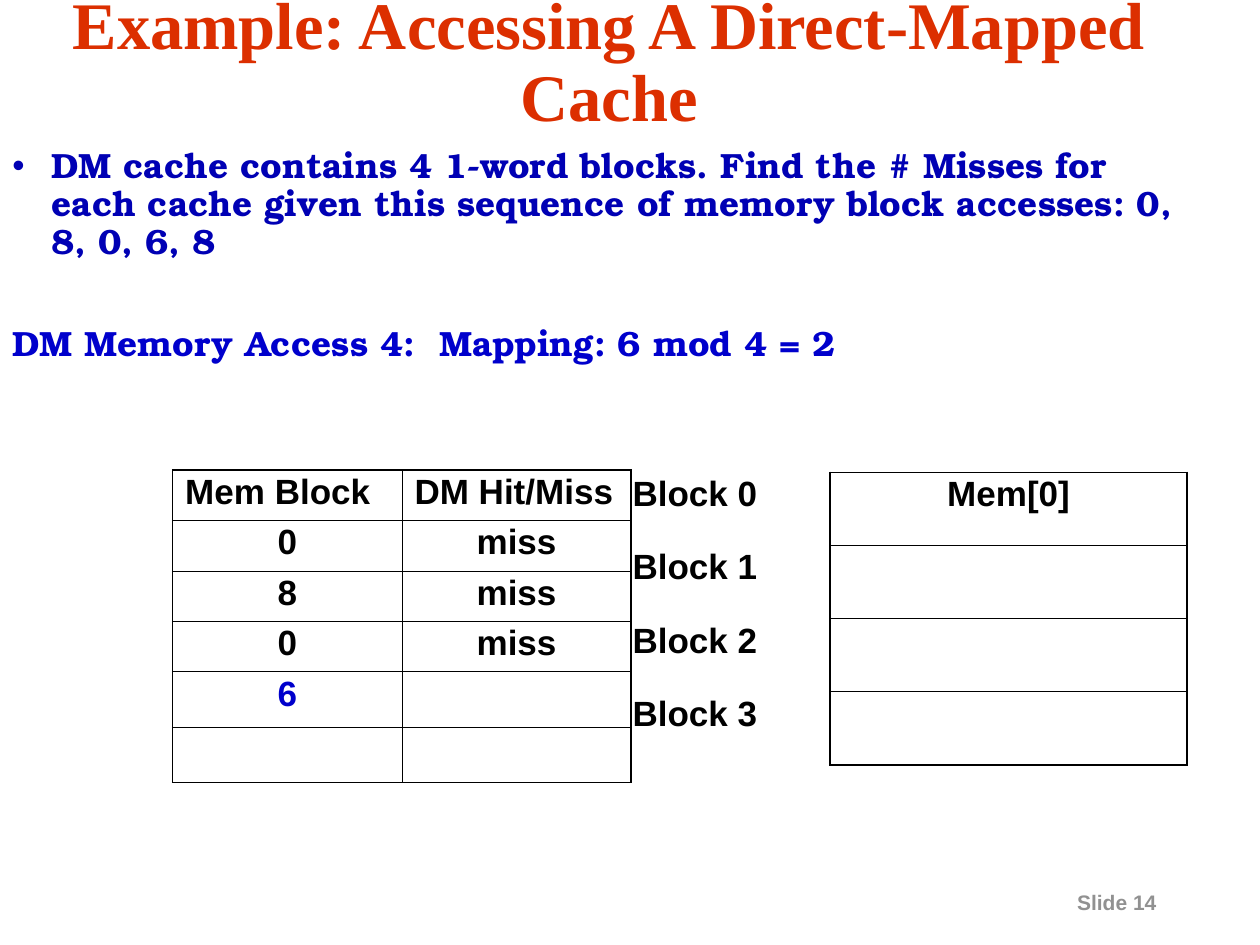
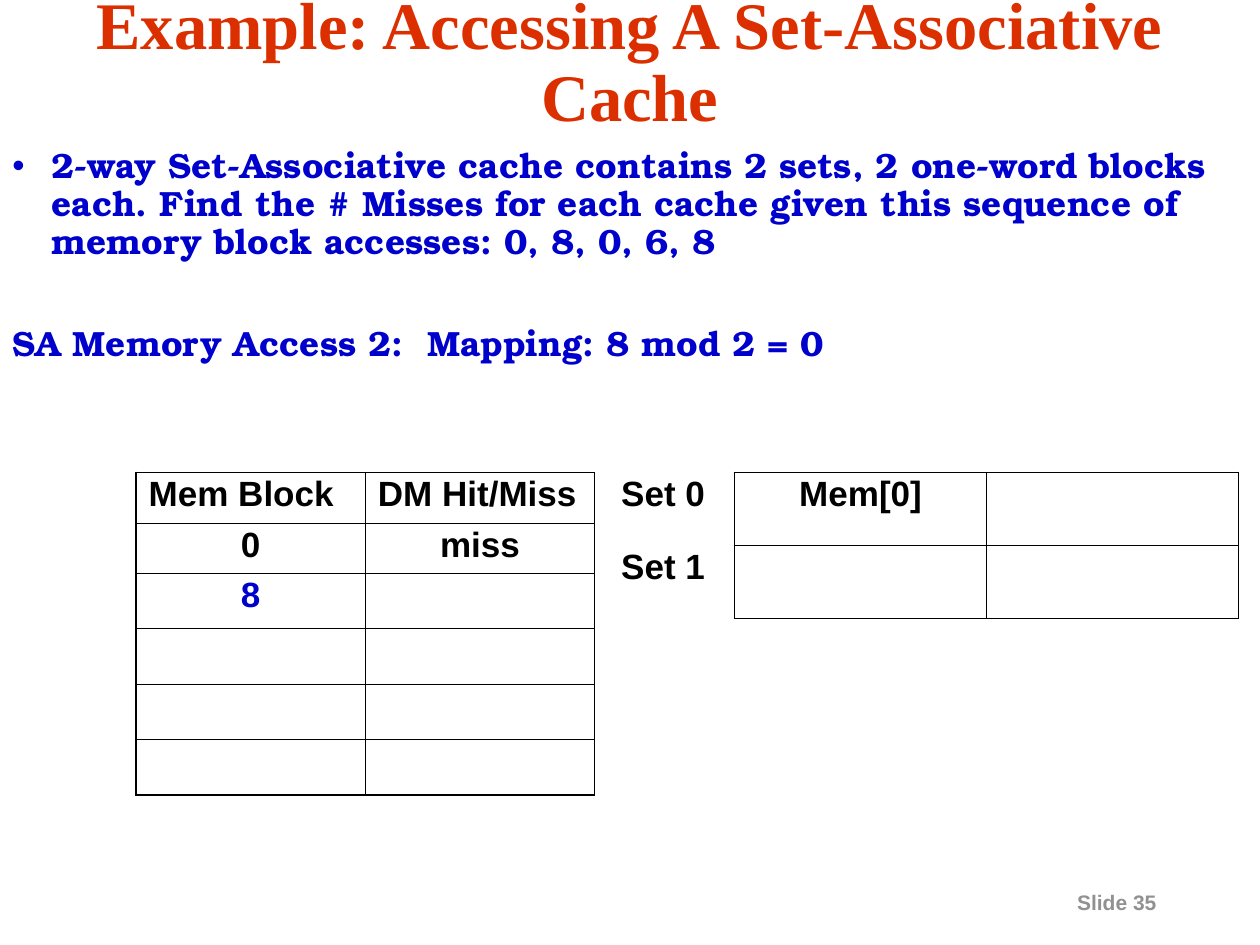
from lxml import etree
from pptx import Presentation
from pptx.dml.color import RGBColor
from pptx.enum.text import MSO_ANCHOR, PP_ALIGN
from pptx.oxml.ns import qn
from pptx.util import Inches, Pt

CENTER = PP_ALIGN.CENTER
LEFT = PP_ALIGN.LEFT
MIDDLE = MSO_ANCHOR.MIDDLE
TOP = MSO_ANCHOR.TOP

TITLE_RED = "DC2F00"
DARK_BLUE = "0000B4"
BLUE = "0000CC"
BLACK = "000000"
GRAY = "919191"

TITLE_FONT = "Times New Roman"
BODY_FONT = "TeX Gyre Bonum"
TABLE_FONT = "Arial"

THICK = 1.08
THIN = 0.45
LINE_SPACING = 0.9
CACHE_ROW_HEIGHT = 0.58
ACCESS_COLUMNS = [1.82, 1.82]
ACCESS_HEADER = ("Mem Block", "DM Hit/Miss")


def rgb(value):
    return RGBColor.from_string(value)


def style_paragraph(paragraph, font_name, size, color, alignment=LEFT, spacing=LINE_SPACING):
    paragraph.alignment = alignment
    paragraph.line_spacing = spacing
    font = paragraph.font
    font.name = font_name
    font.size = Pt(size)
    font.bold = True
    font.color.rgb = rgb(color)


def add_text_frame(slide, left, top, width, height, anchor=TOP):
    box = slide.shapes.add_textbox(Inches(left), Inches(top), Inches(width), Inches(height))
    frame = box.text_frame
    frame.word_wrap = True
    frame.vertical_anchor = anchor
    return frame


def add_bullet(paragraph, color):
    properties = paragraph._p.get_or_add_pPr()
    properties.set("marL", str(Inches(0.31)))
    properties.set("indent", str(-Inches(0.31)))
    bullet_color = etree.SubElement(properties, qn("a:buClr"))
    etree.SubElement(bullet_color, qn("a:srgbClr"), val=color)
    etree.SubElement(properties, qn("a:buFont"), typeface="Arial")
    etree.SubElement(properties, qn("a:buChar"), char="•")


def add_title(slide, text, width):
    paragraph = add_text_frame(slide, 0, 0.17, width, 0.67, MIDDLE).paragraphs[0]
    paragraph.text = text
    style_paragraph(paragraph, TITLE_FONT, 38, TITLE_RED, CENTER)


def add_body(slide, question, question_color, mapping, width):
    frame = add_text_frame(slide, 0, 1.13, width, 2.6)
    bullet = frame.paragraphs[0]
    bullet.text = question
    add_bullet(bullet, question_color)
    style_paragraph(bullet, BODY_FONT, 20, question_color)
    access = frame.add_paragraph()
    access.text = mapping
    access.space_before = Pt(36.6)
    style_paragraph(access, BODY_FONT, 20, BLUE)


def add_slide_number(slide, number):
    paragraph = add_text_frame(slide, 8.45, 7.01, 1.45, 0.3).paragraphs[0]
    paragraph.text = f"Slide {number}"
    style_paragraph(paragraph, TABLE_FONT, 12, GRAY, spacing=1.0)


def set_borders(cell, left, right, top, bottom):
    properties = cell._tc.get_or_add_tcPr()
    for side, width in zip("LRTB", (left, right, top, bottom)):
        line = etree.SubElement(properties, qn(f"a:ln{side}"), w=str(Pt(width)))
        if width:
            fill = etree.SubElement(line, qn("a:solidFill"))
            etree.SubElement(fill, qn("a:srgbClr"), val=BLACK)
        else:
            etree.SubElement(line, qn("a:noFill"))


def add_plain_table(slide, left, top, column_widths, row_heights):
    table = slide.shapes.add_table(
        len(row_heights), len(column_widths), Inches(left), Inches(top),
        Inches(sum(column_widths)), Inches(sum(row_heights))).table
    table.first_row = False
    table.horz_banding = False
    for column, width in zip(table.columns, column_widths):
        column.width = Inches(width)
    for row, height in zip(table.rows, row_heights):
        row.height = Inches(height)
    return table


def fill_cell(cell, text, alignment, borders, color=BLACK):
    set_borders(cell, *borders)
    cell.fill.background()
    paragraph = cell.text_frame.paragraphs[0]
    paragraph.text = text
    style_paragraph(paragraph, TABLE_FONT, 20, color, alignment)


def horizontal_borders(index, count):
    return (THICK if index == 0 else THIN, THICK if index == count - 1 else THIN)


def add_access_table(slide, left, top, accesses):
    rows = [ACCESS_HEADER] + accesses
    heights = [0.4 if all(row) else 0.44 for row in rows]
    table = add_plain_table(slide, left, top, ACCESS_COLUMNS, heights)
    for index, (block, result) in enumerate(rows):
        alignment = LEFT if index == 0 else CENTER
        edges = horizontal_borders(index, len(rows))
        block_color = BLACK if result else BLUE
        fill_cell(table.cell(index, 0), block, alignment, (THICK, THIN, *edges), block_color)
        fill_cell(table.cell(index, 1), result, alignment, (THIN, THICK, *edges))


def add_cache_table(slide, left, column_widths, label, contents):
    heights = [CACHE_ROW_HEIGHT] * len(contents)
    table = add_plain_table(slide, left, 3.75, column_widths, heights)
    for index, row in enumerate(contents):
        fill_cell(table.cell(index, 0), f"{label} {index}", LEFT, (0, THICK, 0, 0))
        edges = horizontal_borders(index, len(contents))
        for way, text in enumerate(row, start=1):
            fill_cell(table.cell(index, way), text, CENTER, (THICK, THICK, *edges))


def add_example_slide(presentation, title, title_width, number):
    slide = presentation.slides.add_slide(presentation.slide_layouts[6])
    add_slide_number(slide, number)
    add_title(slide, title, title_width)
    return slide


def add_direct_mapped_slide(presentation):
    slide = add_example_slide(
        presentation, "Example: Accessing A Direct-Mapped Cache", 9.67, 14)
    add_body(
        slide,
        "DM cache contains 4 1-word blocks. Find the # Misses for each cache "
        "given this sequence of memory block accesses: 0, 8, 0, 6, 8",
        DARK_BLUE, "DM Memory Access 4:  Mapping: 6 mod 4 = 2", 9.58)
    add_cache_table(slide, 4.92, [1.67, 2.83], "Block", [["Mem[0]"], [""], [""], [""]])
    accesses = [("0", "miss"), ("8", "miss"), ("0", "miss"), ("6", ""), ("", "")]
    add_access_table(slide, 1.37, 3.73, accesses)


def add_set_associative_slide(presentation):
    slide = add_example_slide(
        presentation, "Example: Accessing A Set-Associative Cache", 10, 35)
    add_body(
        slide,
        "2-way Set-Associative cache contains 2 sets, 2 one-word blocks each. "
        "Find the # Misses for each cache given this sequence of memory block "
        "accesses: 0, 8, 0, 6, 8",
        BLUE, "SA Memory Access 2:  Mapping: 8 mod 2 = 0", 10)
    add_cache_table(slide, 4.83, [1, 2, 2], "Set", [["Mem[0]", ""], ["", ""]])
    accesses = [("0", "miss"), ("8", "")] + [("", "")] * 3
    add_access_table(slide, 1.08, 3.75, accesses)


def main():
    presentation = Presentation()
    presentation.slide_width = Inches(10)
    presentation.slide_height = Inches(7.5)
    add_direct_mapped_slide(presentation)
    add_set_associative_slide(presentation)
    presentation.save("out.pptx")


if __name__ == "__main__":
    main()
